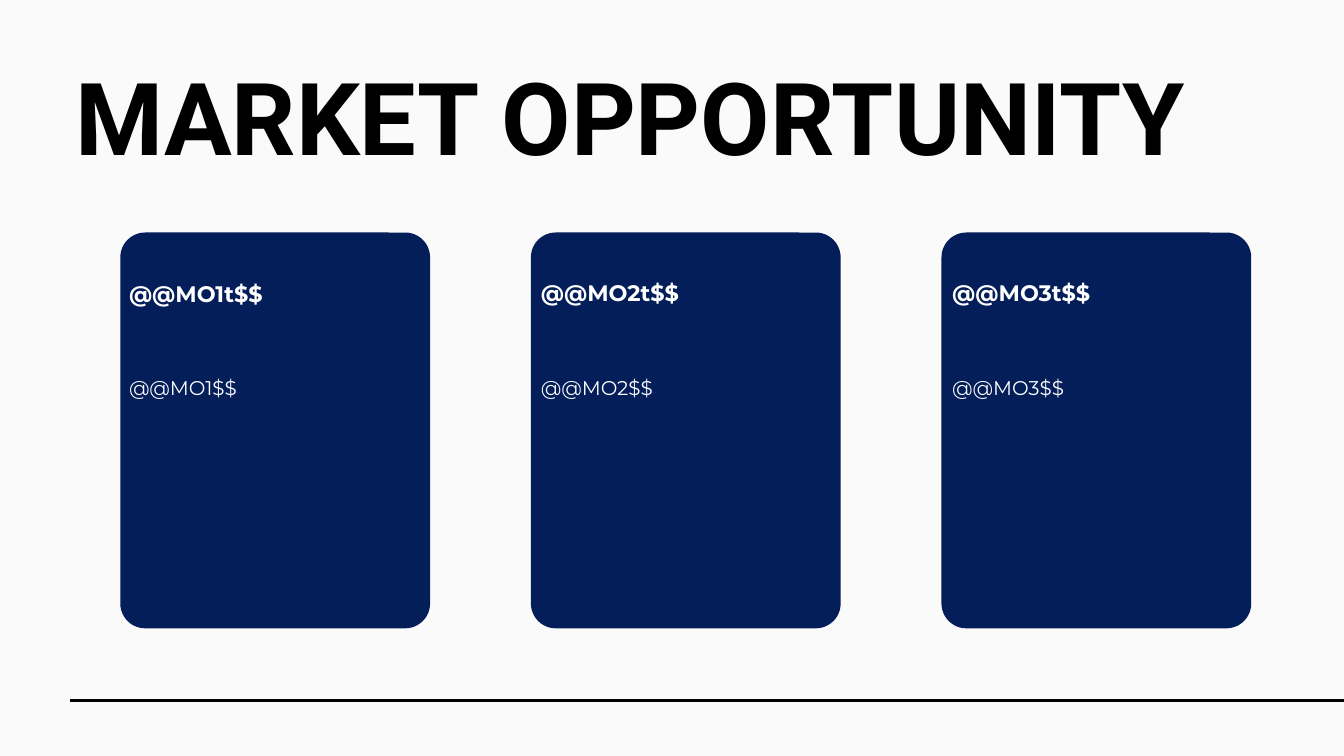
from lxml import etree
from pptx import Presentation
from pptx.dml.color import RGBColor
from pptx.enum.shapes import MSO_CONNECTOR, MSO_SHAPE
from pptx.enum.text import MSO_AUTO_SIZE, PP_ALIGN
from pptx.oxml.ns import qn
from pptx.util import Inches, Pt

STRAIGHT = MSO_CONNECTOR.STRAIGHT
ROUNDED = MSO_SHAPE.ROUNDED_RECTANGLE
GROW = MSO_AUTO_SIZE.SHAPE_TO_FIT_TEXT
LEFT = PP_ALIGN.LEFT
JUSTIFY = PP_ALIGN.JUSTIFY

COLORS = {"paper": "FAFAFA", "ink": "000000", "navy": "041E59", "white": "FFFFFF"}
CARD_LEFT, CARD_TOP, CARD_WIDTH, CARD_HEIGHT = 1.79, 3.46, 4.61, 5.89
CARD_STEP = 6.11
CARD_RADIUS = 0.37
CARDS = [
    ("@@MO1t$$", "@@MO1$$", 1.92, 4.08, 4.33),
    ("@@MO2t$$", "@@MO2$$", 8.05, 4.06, 4.31),
    ("@@MO3t$$", "@@MO3$$", 14.17, 4.06, 4.38),
]


class SlideStyle:
    def __init__(self, slide):
        self.slide = slide

    def color(self, name):
        return RGBColor.from_string(COLORS[name])

    def background(self, color):
        fill = self.slide.background.fill
        fill.solid()
        fill.fore_color.rgb = self.color(color)

    def rule(self, x1, y1, x2, y2, color, weight):
        rule = self.slide.shapes.add_connector(
            STRAIGHT, Inches(x1), Inches(y1), Inches(x2), Inches(y2))
        rule.line.color.rgb = self.color(color)
        rule.line.width = Pt(weight)
        etree.SubElement(rule._element.spPr, qn("a:effectLst"))

    def card(self, x, y, width, height, color):
        card = self.slide.shapes.add_shape(
            ROUNDED, Inches(x), Inches(y), Inches(width), Inches(height))
        card.adjustments[0] = CARD_RADIUS / min(width, height)
        card.shadow.inherit = False
        card.fill.solid()
        card.fill.fore_color.rgb = self.color(color)
        card.line.fill.background()

    def text(self, wording, x, y, width, height, font, size, spacing, color,
             bold=False, align=LEFT):
        box = self.slide.shapes.add_textbox(
            Inches(x), Inches(y), Inches(width), Inches(height))
        frame = box.text_frame
        frame.word_wrap = True
        frame.auto_size = GROW
        frame.margin_left = frame.margin_right = 0
        frame.margin_top = frame.margin_bottom = 0
        paragraph = frame.paragraphs[0]
        paragraph.alignment = align
        paragraph.line_spacing = Pt(spacing)
        run = paragraph.add_run()
        run.text = wording
        run.font.name = font
        run.font.size = Pt(size)
        run.font.bold = bold
        run.font.color.rgb = self.color(color)


def main():
    deck = Presentation()
    deck.slide_width = Inches(20)
    deck.slide_height = Inches(11.25)
    page = SlideStyle(deck.slides.add_slide(deck.slide_layouts[6]))

    page.background("paper")
    page.rule(1.04, 10.42, 20, 10.42, "ink", 3)
    page.text("MARKET OPPORTUNITY", 1.12, 1.2, 19.25, 1.52,
              "Roboto", 107.8, 101.3, "ink", bold=True)

    for index, (heading, body, text_left, heading_top, text_width) in enumerate(CARDS):
        page.card(CARD_LEFT + index * CARD_STEP, CARD_TOP,
                  CARD_WIDTH, CARD_HEIGHT, "navy")
        page.text(heading, text_left, heading_top, text_width, 0.97,
                  "Montserrat", 24, 35.6, "white", bold=True)
        page.text(body, text_left, 5.6, text_width, 0.68,
                  "Montserrat", 21.3, 24.3, "white", align=JUSTIFY)

    deck.save("out.pptx")


if __name__ == "__main__":
    main()
